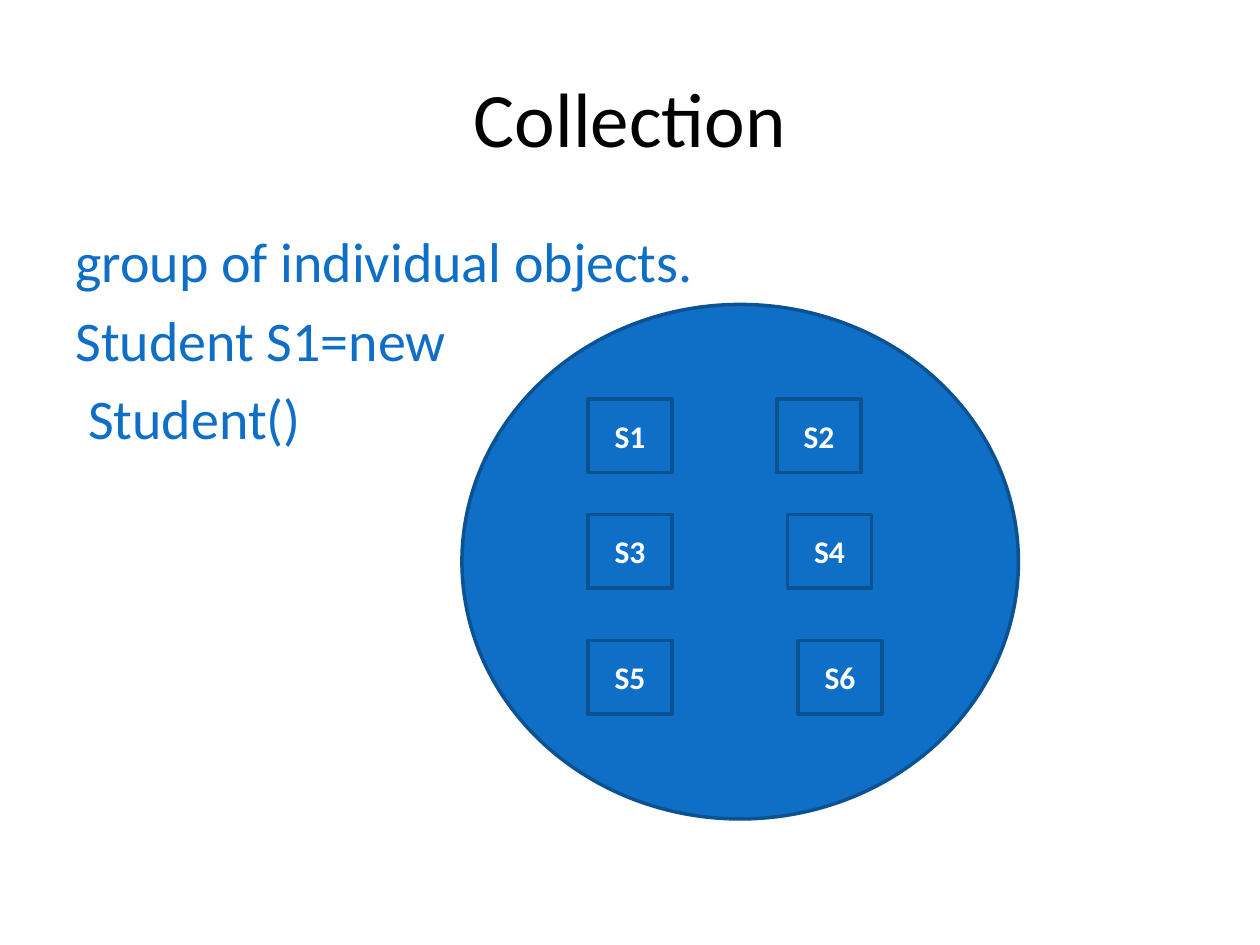
from pptx import Presentation
from pptx.dml.color import RGBColor
from pptx.enum.shapes import MSO_SHAPE as Shape
from pptx.enum.text import MSO_ANCHOR as Anchor, PP_ALIGN as Align
from pptx.util import Pt

BLACK = RGBColor(0x00, 0x00, 0x00)
WHITE = RGBColor(0xFF, 0xFF, 0xFF)
BLUE = RGBColor(0x0F, 0x6F, 0xC6)
DARK_BLUE = RGBColor(0x0B, 0x52, 0x92)

TITLE = {"size": Pt(44), "bold": False}
BODY = {"size": Pt(32), "bold": False}
LABEL = {"size": Pt(18), "bold": True}


class SlideBuilder:
    """Holds the style and the slide; all lengths are in points."""

    font_name = "Calibri"
    line_width = 2
    paragraph_gap = 6.4

    def __init__(self, slide):
        self.slide = slide

    def fill_text(self, shape, lines, font_format, color, alignment, anchor):
        frame = shape.text_frame
        frame.word_wrap = True
        frame.vertical_anchor = anchor
        for index, line in enumerate(lines):
            paragraph = frame.add_paragraph() if index else frame.paragraphs[0]
            paragraph.alignment = alignment
            paragraph.space_before = Pt(self.paragraph_gap if index else 0)
            run = paragraph.add_run()
            run.text = line
            for name, value in {"name": self.font_name, **font_format}.items():
                setattr(run.font, name, value)
            run.font.color.rgb = color

    def title(self, text, left, top, width, height):
        shape = self.slide.shapes.title
        position = {"left": left, "top": top, "width": width, "height": height}
        for name, value in position.items():
            setattr(shape, name, Pt(value))
        self.fill_text(shape, [text], TITLE, BLACK, Align.CENTER, Anchor.MIDDLE)

    def body(self, lines, *box):
        shape = self.slide.shapes.add_textbox(*map(Pt, box))
        self.fill_text(shape, lines, BODY, BLUE, Align.LEFT, Anchor.TOP)

    def outlined_shape(self, kind, *box):
        shape = self.slide.shapes.add_shape(kind, *map(Pt, box))
        shape.shadow.inherit = False
        shape.fill.solid()
        shape.fill.fore_color.rgb = BLUE
        shape.line.color.rgb = DARK_BLUE
        shape.line.width = Pt(self.line_width)
        return shape

    def object_box(self, label, left, top):
        shape = self.outlined_shape(Shape.RECTANGLE, left, top, 48, 42)
        self.fill_text(shape, [label], LABEL, WHITE, Align.CENTER, Anchor.MIDDLE)


def main():
    presentation = Presentation()
    presentation.slide_width = Pt(720)
    presentation.slide_height = Pt(540)
    title_only = presentation.slide_layouts[5]
    builder = SlideBuilder(presentation.slides.add_slide(title_only))

    builder.title("Collection", 36, 21.6, 648, 90)
    builder.body(
        ["group of individual objects.", "Student S1=new", " Student()"],
        36, 126, 648, 356.4,
    )

    builder.outlined_shape(Shape.OVAL, 264, 174, 318, 294)
    for row, top in enumerate((228, 294, 366)):
        # The right column steps outwards by 6 pt in each row.
        for column, left in enumerate((336, 444 + 6 * row)):
            builder.object_box(f"S{2 * row + column + 1}", left, top)

    presentation.save("out.pptx")


if __name__ == "__main__":
    main()
